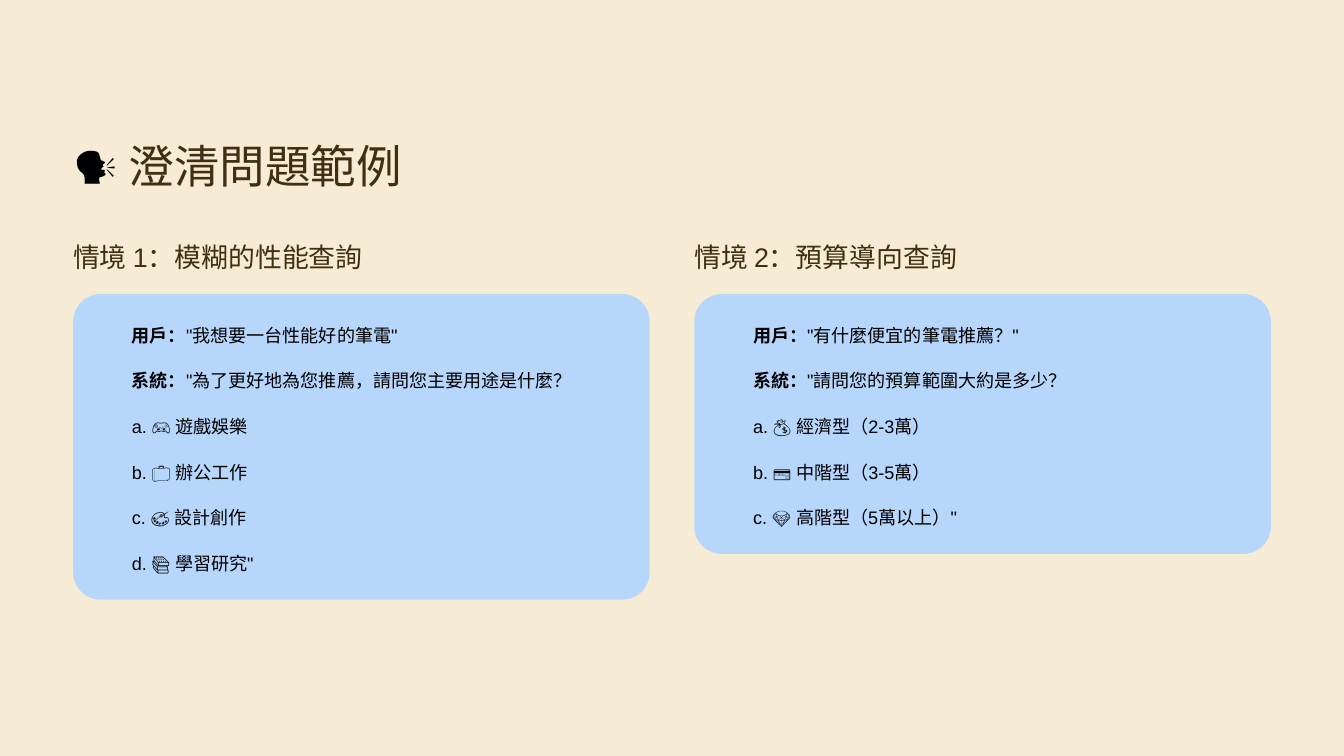
from pptx import Presentation
from pptx import util as u
from pptx.dml.color import RGBColor
from pptx.enum import shapes, text

theme = dict(font="Arial", paper="F6EBD4", card="B6D6FC", head="403011", ink="000000",
             title_pt=39, head_pt=23, body_pt=15.5)

# Two equal columns between the margins, rows at a fixed pitch
W, H = 16, 9
MARGIN, GAP = 0.87, 0.53
COL_W = (W - 2 * MARGIN - GAP) / 2
TITLE_Y, HEAD_Y, CARD_Y = 0.18 * H, 2.85, 3.5
PITCH, PAD_X, PAD_Y, RADIUS = 0.54, 0.7, 0.27, 0.33

scenarios = [
    ("情境 1：模糊的性能查詢", [
        ("用戶：", "\"我想要一台性能好的筆電\""),
        ("系統：", "\"為了更好地為您推薦，請問您主要用途是什麼？"),
        ("", "a. 🎮 遊戲娛樂"),
        ("", "b. 💼 辦公工作"),
        ("", "c. 🎨 設計創作"),
        ("", "d. 📚 學習研究\""),
    ]),
    ("情境 2：預算導向查詢", [
        ("用戶：", "\"有什麼便宜的筆電推薦？\""),
        ("系統：", "\"請問您的預算範圍大約是多少？"),
        ("", "a. 💰 經濟型（2-3萬）"),
        ("", "b. 💳 中階型（3-5萬）"),
        ("", "c. 💎 高階型（5萬以上）\""),
    ]),
]


def place(sp, x, y, w, h):
    """Position a text shape and strip its insets."""
    sp.left, sp.top, sp.width, sp.height = (u.Inches(v) for v in (x, y, w, h))
    tf = sp.text_frame
    tf.margin_left = tf.margin_right = tf.margin_top = tf.margin_bottom = 0
    tf.word_wrap = True
    tf.auto_size = text.MSO_AUTO_SIZE.NONE
    tf.vertical_anchor = text.MSO_ANCHOR.TOP
    return tf


def write(p, parts, size, line, space=0):
    """Fill a paragraph with (words, colour, bold) runs."""
    p.alignment = text.PP_ALIGN.LEFT
    p.line_spacing, p.space_before = u.Pt(line), u.Pt(space)
    for words, colour, bold in parts:
        r = p.add_run()
        r.text = words
        r.font.name, r.font.size, r.font.bold = theme["font"], u.Pt(size), bold
        r.font.color.rgb = RGBColor.from_string(theme[colour])


prs = Presentation()
prs.slide_width, prs.slide_height = u.Inches(W), u.Inches(H)
s = prs.slides.add_slide(prs.slide_layouts[5])
s.background.fill.solid()
s.background.fill.fore_color.rgb = RGBColor.from_string(theme["paper"])

# Title
tf = place(s.shapes.title, MARGIN, TITLE_Y, W - 2 * MARGIN, 0.68)
write(tf.paragraphs[0], [("🗣️", "ink", False), (" 澄清問題範例", "head", False)],
      theme["title_pt"], 48.5)

for col, (heading, rows) in enumerate(scenarios):
    x = MARGIN + col * (COL_W + GAP)

    # Scenario heading
    tf = place(s.shapes.add_textbox(0, 0, 0, 0), x, HEAD_Y, COL_W, 0.41)
    write(tf.paragraphs[0], [(heading, "head", False)], theme["head_pt"], 29)

    # Rounded card, as tall as its rows need
    card_h = 0.37 + len(rows) * 0.545
    card = s.shapes.add_shape(shapes.MSO_SHAPE.ROUNDED_RECTANGLE, u.Inches(x), u.Inches(CARD_Y),
                              u.Inches(COL_W), u.Inches(card_h))
    card.adjustments[0] = RADIUS / card_h
    card.shadow.inherit = False
    card.fill.solid()
    card.fill.fore_color.rgb = RGBColor.from_string(theme["card"])
    card.line.fill.background()

    # Dialogue
    tf = place(s.shapes.add_textbox(0, 0, 0, 0), x + PAD_X, CARD_Y + PAD_Y,
               COL_W - PAD_X - 0.22, len(rows) * PITCH)
    for i, (speaker, words) in enumerate(rows):
        p = tf.add_paragraph() if i else tf.paragraphs[0]
        parts = [(speaker, "ink", True)] if speaker else []
        write(p, parts + [(words, "ink", False)], theme["body_pt"], 25, 14.1 if i else 0)

prs.save("out.pptx")
